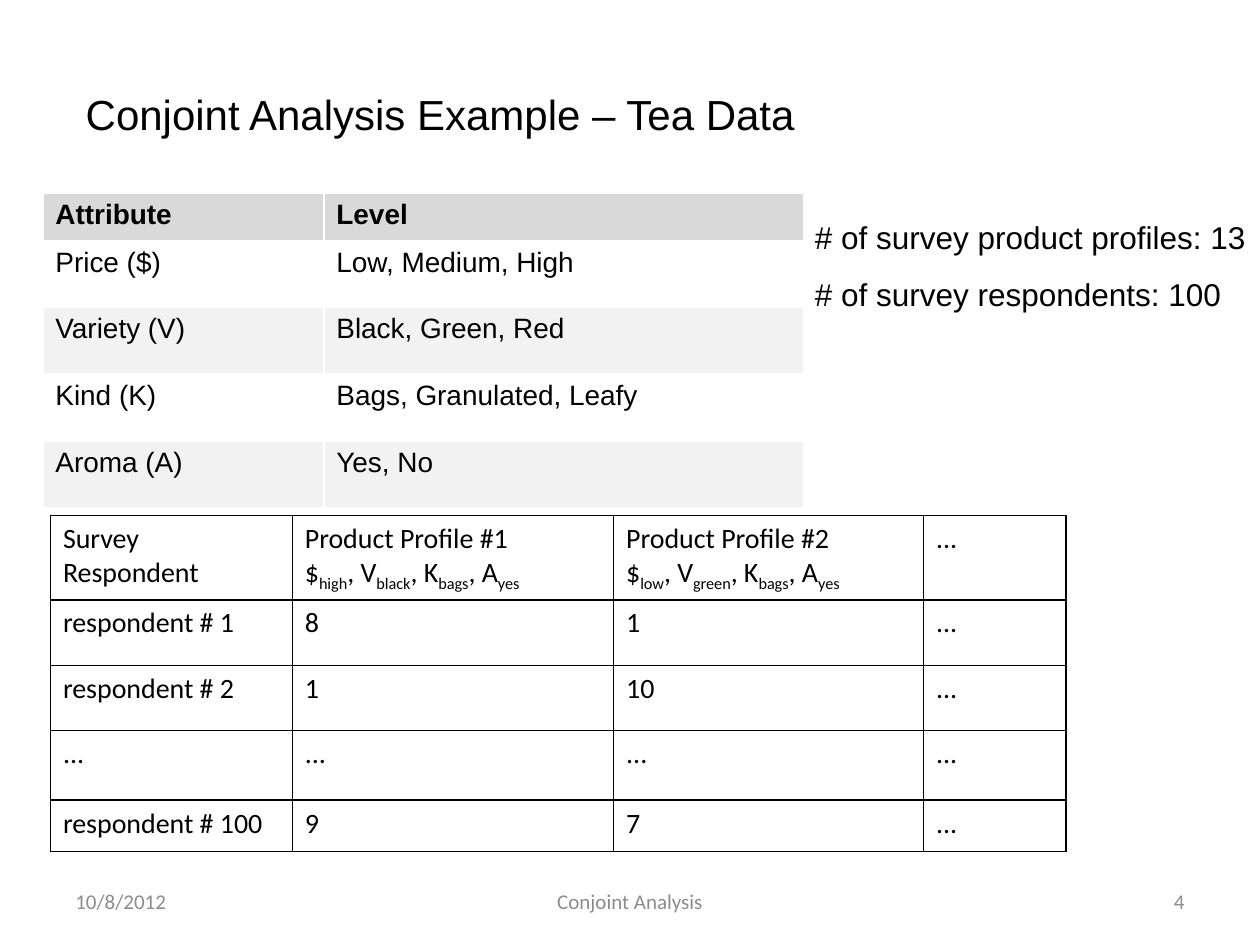
import pptx
import pptx.dml.color
import pptx.enum.text
import pptx.oxml
import pptx.oxml.ns
import pptx.util

Inches = pptx.util.Inches
Align = pptx.enum.text.PP_ALIGN
Anchor = pptx.enum.text.MSO_ANCHOR
AutoSize = pptx.enum.text.MSO_AUTO_SIZE

COLORS = {"text": "000000", "footer": "8C8C8C", "header": "D9D9D9", "band": "F2F2F2"}

ATTRIBUTES = [
    ("Attribute", "Level"),
    ("Price ($)", "Low, Medium, High"),
    ("Variety (V)", "Black, Green, Red"),
    ("Kind (K)", "Bags, Granulated, Leafy"),
    ("Aroma (A)", "Yes, No"),
]
RATINGS = [
    ("respondent # 1", "8", "1", "..."),
    ("respondent # 2", "1", "10", "..."),
    ("...", "...", "...", "..."),
    ("respondent # 100", "9", "7", "..."),
]


def rgb(name):
    """Return the named colour."""
    return pptx.dml.color.RGBColor.from_string(COLORS[name])


def add_run(paragraph, text, size, font_name, color="text", bold=False, subscript=False):
    """Append one formatted run."""
    run = paragraph.add_run()
    run.text = text
    font = run.font
    font.size = pptx.util.Pt(size)
    font.name = font_name
    font.bold = bold
    font.color.rgb = rgb(color)
    if subscript:
        run._r.get_or_add_rPr().set("baseline", "-25000")


def add_title(slide, box, text):
    """Place the slide title in its placeholder."""
    title = slide.shapes.title
    title.left, title.top, title.width, title.height = map(Inches, box)
    frame = title.text_frame
    frame.vertical_anchor = Anchor.TOP
    frame.auto_size = AutoSize.SHAPE_TO_FIT_TEXT
    paragraph = frame.paragraphs[0]
    paragraph.alignment = Align.LEFT
    add_run(paragraph, text, 24, "Arial")


def add_footer(slide, box, entries):
    """Place date, footer and number along one row."""
    left, top, width, height = box
    date_width, center_width = 2.33, 3.17
    places = [
        (left, date_width, Align.LEFT),
        (left + (width - center_width) / 2, center_width, Align.CENTER),
        (left + width - date_width, date_width, Align.RIGHT),
    ]
    for text, (x, part_width, alignment) in zip(entries, places):
        shape = slide.shapes.add_textbox(*map(Inches, (x, top, part_width, height)))
        frame = shape.text_frame
        frame.word_wrap = True
        frame.vertical_anchor = Anchor.MIDDLE
        paragraph = frame.paragraphs[0]
        paragraph.alignment = alignment
        add_run(paragraph, text, 12, "Calibri", "footer")


def add_survey_counts(slide, box, lines):
    """Place the survey counts at 1.5 line spacing."""
    frame = slide.shapes.add_textbox(*map(Inches, box)).text_frame
    frame.word_wrap = False
    frame.auto_size = AutoSize.SHAPE_TO_FIT_TEXT
    for index, text in enumerate(lines):
        paragraph = frame.add_paragraph() if index else frame.paragraphs[0]
        paragraph.line_spacing = 1.5
        add_run(paragraph, text, 18, "Arial")


def add_grid(slide, box, widths, heights):
    """Add an unfilled table with the given column widths and row heights."""
    frame = slide.shapes.add_table(len(heights), len(widths), *map(Inches, box))
    table = frame.table
    for column, width in zip(table.columns, widths):
        column.width = Inches(width)
    for row, height in zip(table.rows, heights):
        row.height = Inches(height)
    for cell in table.iter_cells():
        cell.fill.background()
    return table


def add_attribute_table(slide, box):
    """Place the banded table of attributes and levels."""
    table = add_grid(slide, box, [2.23, 3.81], [0.38] + [0.53] * 4)
    for row, texts in enumerate(ATTRIBUTES):
        for column, text in enumerate(texts):
            cell = table.cell(row, column)
            if row % 2 == 0:
                cell.fill.solid()
                cell.fill.fore_color.rgb = rgb("band" if row else "header")
            add_run(cell.text_frame.paragraphs[0], text, 16, "Arial", bold=row == 0)


def add_borders(cell):
    """Draw a 1 pt line on each side of a cell."""
    properties = cell._tc.get_or_add_tcPr()
    for index, side in enumerate(("lnL", "lnR", "lnT", "lnB")):
        line = pptx.oxml.parse_xml(
            f'<a:{side} {pptx.oxml.ns.nsdecls("a")} w="12700"><a:solidFill>'
            f'<a:srgbClr val="{COLORS["text"]}"/></a:solidFill></a:{side}>'
        )
        properties.insert(index, line)


def add_profile_heading(cell, heading, levels):
    """Write a profile name above its subscripted attribute levels."""
    add_run(cell.text_frame.paragraphs[0], heading, 16, "Calibri")
    paragraph = cell.text_frame.add_paragraph()
    for symbol, level in zip(("$", ", V", ", K", ", A"), levels):
        add_run(paragraph, symbol, 16, "Calibri")
        add_run(paragraph, level, 16, "Calibri", subscript=True)


def add_ratings_table(slide, box):
    """Place the bordered table of respondent ratings."""
    table = add_grid(slide, box, [1.92, 2.55, 2.46, 1.13], [0.52] * 3 + [0.55, 0.41])
    for cell in table.iter_cells():
        add_borders(cell)
    add_profile_heading(table.cell(0, 1), "Product Profile #1", ("high", "black", "bags", "yes"))
    add_profile_heading(table.cell(0, 2), "Product Profile #2", ("low", "green", "bags", "yes"))
    for column, text in ((0, "Survey Respondent"), (3, "...")):
        add_run(table.cell(0, column).text_frame.paragraphs[0], text, 16, "Calibri")
    for row, texts in enumerate(RATINGS, start=1):
        for column, text in enumerate(texts):
            paragraph = table.cell(row, column).text_frame.paragraphs[0]
            add_run(paragraph, text, 16, "Calibri")


def main():
    """Build and save the slide."""
    presentation = pptx.Presentation()
    presentation.slide_width = Inches(10)
    presentation.slide_height = Inches(7.5)
    slide = presentation.slides.add_slide(presentation.slide_layouts[5])
    add_footer(slide, (0.5, 6.95, 9, 0.4), ("10/8/2012", "Conjoint Analysis", "4"))
    add_title(slide, (0.58, 0.65, 7.88, 0.5), "Conjoint Analysis Example – Tea Data")
    add_attribute_table(slide, (0.34, 1.53, 6.04, 2.5))
    add_survey_counts(
        slide,
        (6.37, 1.53, 3.63, 0.98),
        ("# of survey product profiles: 13", "# of survey respondents: 100"),
    )
    add_ratings_table(slide, (0.4, 4.09, 8.06, 2.52))
    presentation.save("out.pptx")


if __name__ == "__main__":
    main()
